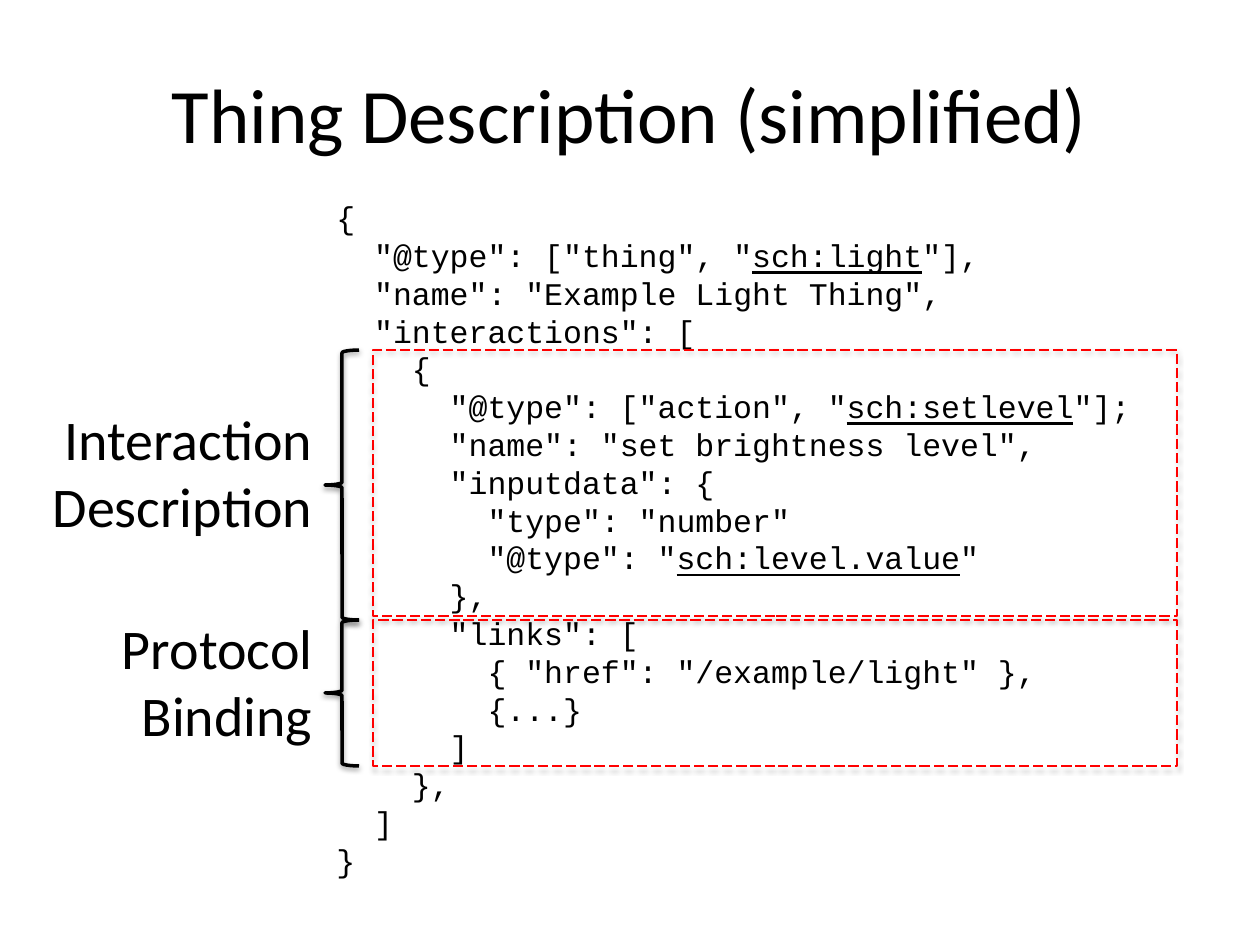
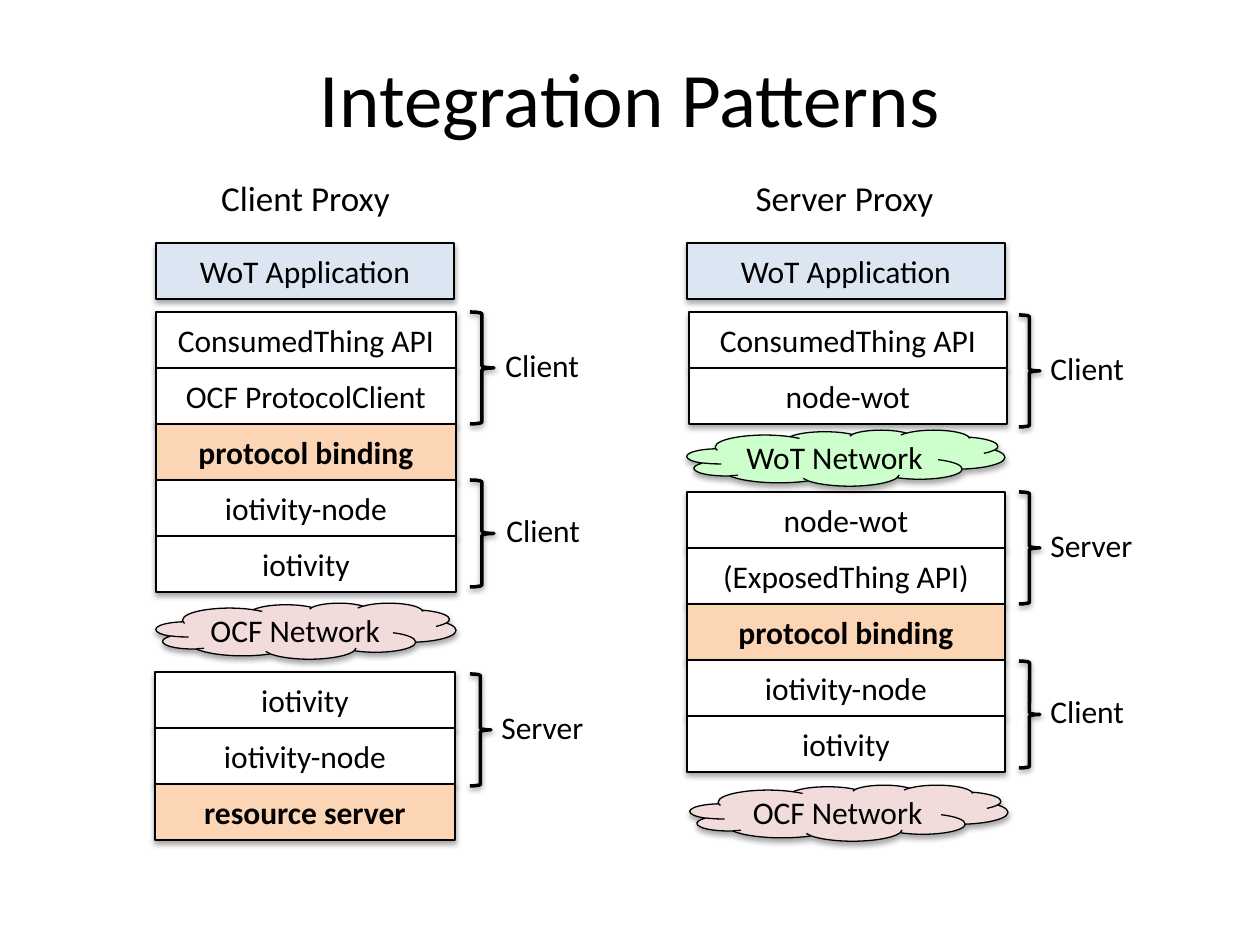
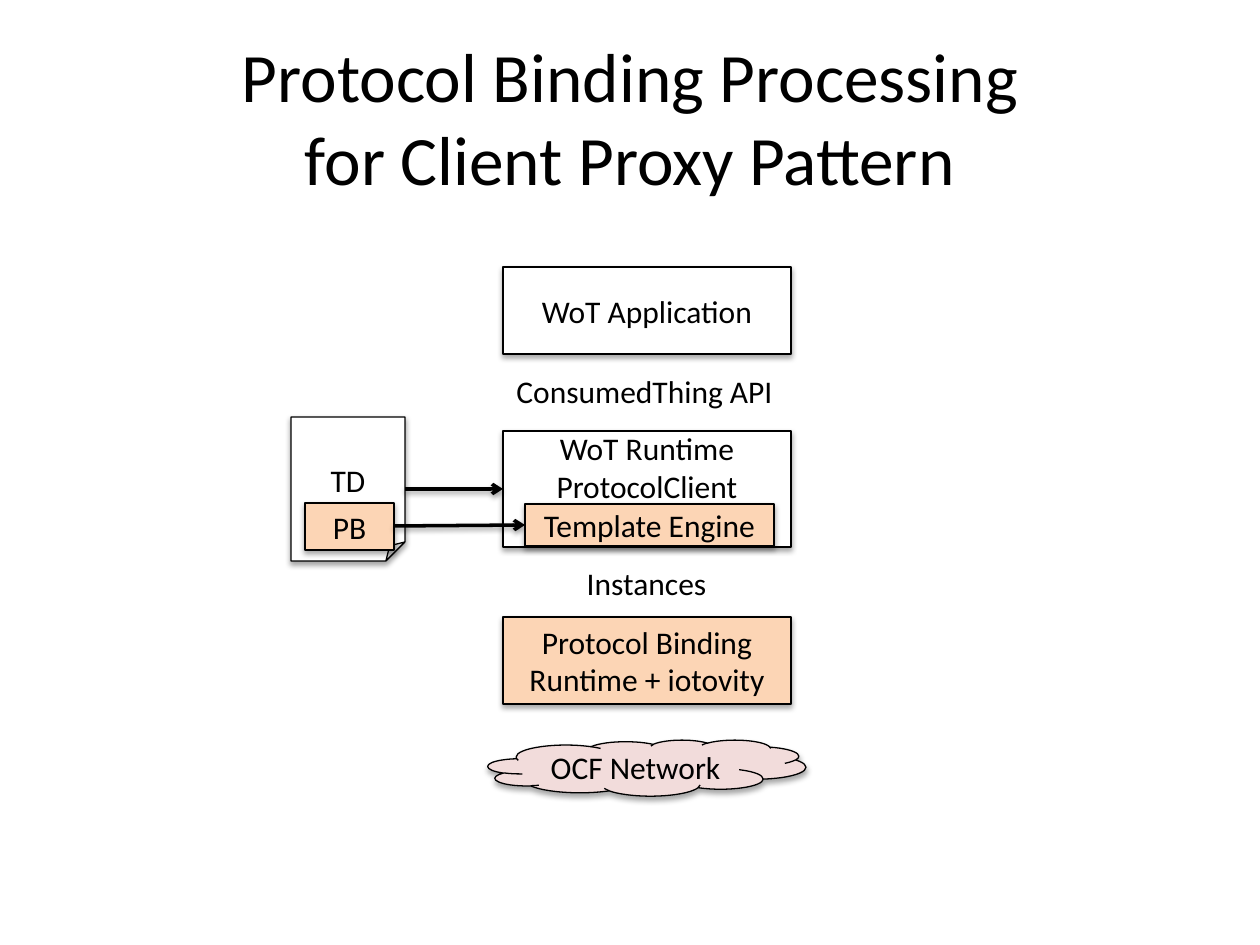
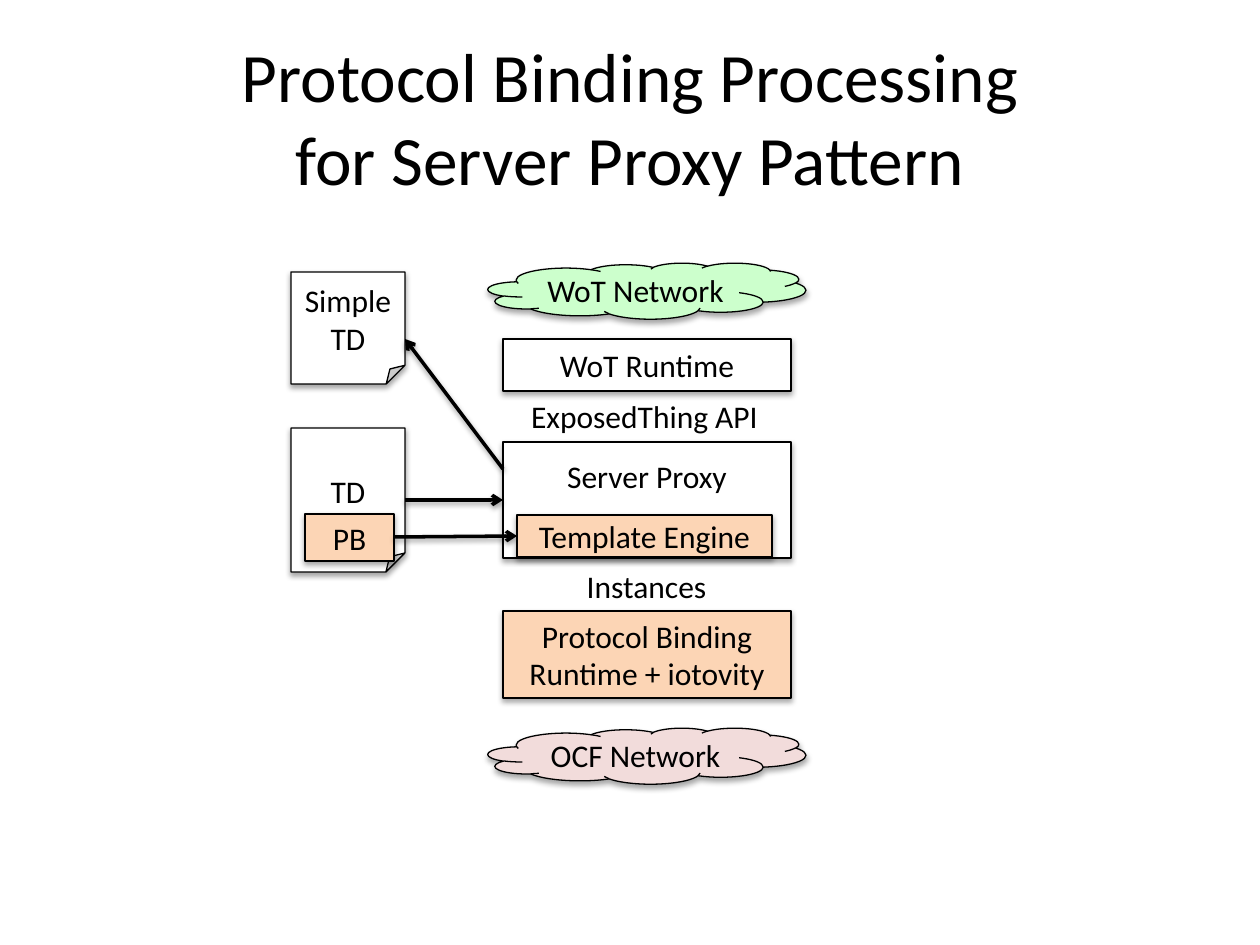
from dataclasses import dataclass

from lxml import etree
from pptx import Presentation
from pptx.dml.color import RGBColor
from pptx.enum.dml import MSO_LINE
from pptx.enum.shapes import MSO_CONNECTOR, MSO_SHAPE
from pptx.enum.text import MSO_ANCHOR, MSO_AUTO_SIZE, PP_ALIGN
from pptx.oxml.ns import qn
from pptx.util import Emu, Inches, Pt

RECT = MSO_SHAPE.RECTANGLE
CLOUD = MSO_SHAPE.CLOUD
NOTE = MSO_SHAPE.FOLDED_CORNER
LEFT_BRACE = MSO_SHAPE.LEFT_BRACE
RIGHT_BRACE = MSO_SHAPE.RIGHT_BRACE
STRAIGHT = MSO_CONNECTOR.STRAIGHT
DASH = MSO_LINE.LONG_DASH
LEFT, CENTER, RIGHT = PP_ALIGN.LEFT, PP_ALIGN.CENTER, PP_ALIGN.RIGHT
MIDDLE, TOP = MSO_ANCHOR.MIDDLE, MSO_ANCHOR.TOP
FIXED = MSO_AUTO_SIZE.NONE
TITLE_ONLY = 5
SCALE = 914400 / 126
ROW = 56


@dataclass(frozen=True)
class Theme:
    """Colours, fonts and sizes of the deck."""
    ink: str = "000000"
    white: str = "FFFFFF"
    blue: str = "DCE6F2"
    peach: str = "FCD5B5"
    pink: str = "F2DCDB"
    green: str = "CCFFCC"
    red: str = "FF0000"
    sans: str = "Calibri"
    mono: str = "Courier New"
    head: float = 44
    long: float = 39.6
    side: float = 32
    sub: float = 20
    body: float = 18
    thin: float = 0.75
    bold: float = 2
    step: float = 21.6


T = Theme()


def px(n):
    """Turn pixels into EMU."""
    return Emu(round(n * SCALE))


def put(item, **vals):
    """Set each named attribute on the item."""
    for name, val in vals.items():
        setattr(item, name, val)


def ink(font, size, name=T.sans, **more):
    """Give a font its size, face and colour."""
    put(font, size=Pt(size), name=name, **more)
    font.color.rgb = RGBColor.from_string(T.ink)


class Deck:
    """Draws each kind of element on the current slide."""

    def __init__(self):
        """Start an empty deck."""
        self.prs = Presentation()
        put(self.prs, slide_width=Inches(10), slide_height=Inches(7.5))

    def page(self, title, top, size=T.head):
        """Add a slide with a title."""
        layout = self.prs.slide_layouts[TITLE_ONLY]
        self.slide = self.prs.slides.add_slide(layout)
        head = self.slide.shapes.title
        put(head, left=px(63), top=px(top), width=px(1134), height=px(157))
        self.fill(head.text_frame, title, size, CENTER, MIDDLE)

    def fill(self, frame, text, size, align, anchor, wrap=True, **more):
        """Fill a text frame."""
        frame.text = text
        put(frame, word_wrap=wrap, vertical_anchor=anchor, auto_size=FIXED)
        for para in frame.paragraphs:
            para.alignment = align
            for run in para.runs:
                ink(run.font, size, **more)

    def text(self, text, box, size=T.body, align=LEFT, wrap=True):
        """Add a text box."""
        shape = self.slide.shapes.add_textbox(*map(px, box))
        self.fill(shape.text_frame, text, size, align, TOP, wrap)
        return shape

    def code(self, lines, box):
        """Add code from pairs of depth and text, underlined between bars."""
        frame = self.slide.shapes.add_textbox(*map(px, box)).text_frame
        frame.word_wrap = True
        for i, (depth, line) in enumerate(lines):
            para = frame.add_paragraph() if i else frame.paragraphs[0]
            props = para._p.get_or_add_pPr()
            props.set("marL", str(Pt(depth * T.step)))
            props.set("indent", "0")
            for j, part in enumerate(line.split("|")):
                run = para.add_run()
                run.text = part
                ink(run.font, T.body, T.mono, underline=j % 2 == 1)

    def shade(self, shape, alpha, dist):
        """Add a soft shadow below a shape."""
        effect = etree.SubElement(shape.element.spPr, qn("a:effectLst"))
        outer = etree.SubElement(effect, qn("a:outerShdw"), blurRad="40000",
                                 dist=str(dist), dir="5400000", rotWithShape="0")
        tint = etree.SubElement(outer, qn("a:srgbClr"), val=T.ink)
        etree.SubElement(tint, qn("a:alpha"), val=str(alpha * 1000))

    def edge(self, shape, width, color=T.ink):
        """Style an outline."""
        shape.line.color.rgb = RGBColor.from_string(color)
        shape.line.width = Pt(width)

    def box(self, text, box, fill=T.white, kind=RECT, bold=False):
        """Add a filled shape with centred text."""
        shape = self.slide.shapes.add_shape(kind, *map(px, box))
        shape.fill.solid()
        shape.fill.fore_color.rgb = RGBColor.from_string(fill)
        self.edge(shape, T.thin)
        self.shade(shape, 35, 23000)
        self.fill(shape.text_frame, text, T.body, CENTER, MIDDLE, bold=bold)

    def stack(self, left, top, width, names):
        """Add a column of rows, the starred ones in bold on peach."""
        for i, name in enumerate(names):
            star = name.startswith("*")
            self.box(name.lstrip("*"), (left, top + i * ROW, width, ROW),
                     T.peach if star else T.white, bold=star)

    def frame(self, box):
        """Add a dashed red frame."""
        shape = self.slide.shapes.add_shape(RECT, *map(px, box))
        shape.fill.background()
        self.edge(shape, T.thin, T.red)
        shape.line.dash_style = DASH
        self.shade(shape, 35, 23000)

    def brace(self, box, kind=RIGHT_BRACE):
        """Add a brace."""
        shape = self.slide.shapes.add_shape(kind, *map(px, box))
        shape.fill.background()
        self.edge(shape, T.bold)
        self.shade(shape, 38, 20000)

    def arrow(self, *ends):
        """Add an arrow from one point to another."""
        line = self.slide.shapes.add_connector(STRAIGHT, *map(px, ends))
        self.edge(line, T.bold)
        stroke = line.element.spPr.find(qn("a:ln"))
        etree.SubElement(stroke, qn("a:tailEnd"), type="arrow")
        self.shade(line, 38, 20000)

    def label(self, text, left, top, width, size=T.body):
        """Add a centred caption that does not wrap."""
        self.text(text, (left, top, width, 50), size, CENTER, False)

    def flow(self, top, engine, inst, bind, cloud):
        """Add the parts that both proxy pages share."""
        left, width = engine
        self.box("", (503, top, 288, 116))
        self.box("Protocol Binding Runtime + iotovity", (503, bind, 288, 87), T.peach)
        self.box("TD", (291, top - 14, 114, 144), kind=NOTE)
        self.arrow(405, top + 58, 503, top + 58)
        self.box("OCF Network", (488, cloud, 318, ROW), T.pink, CLOUD)
        self.box("PB", (305, top + 72, 89, 47), T.peach)
        self.arrow(394, top + 95, left, top + 94)
        self.box("Template Engine", (left, top + 73, width, 42), T.peach)
        self.label("Instances", 573, inst, 147)


deck = Deck()

deck.page("Thing Description (simplified)", 34)
deck.code([
    (0, '{'),
    (1, '"@type": ["thing", "|sch:light|"],'),
    (1, '"name": "Example Light Thing",'),
    (1, '"interactions": ['),
    (2, '{'),
    (3, '"@type": ["action", "|sch:setlevel|"];'),
    (3, '"name": "set brightness level",'),
    (3, '"inputdata": {'),
    (4, '"type": "number"'),
    (4, '"@type": "|sch:level.value|"'),
    (3, '},'),
    (3, '"links": ['),
    (4, '{ "href": "/example/light" },'),
    (4, '{...}'),
    (3, ']'),
    (2, '},'),
    (1, ']'),
    (0, '}'),
], (324, 192, 867, 699))
for name, label_top, top, height in (
        ("Interaction Description", 398, 350, 266),
        ("Protocol Binding", 607, 620, 146)):
    side = deck.text(name, (19, label_top, 306, 163), T.side, RIGHT)
    side.text_frame.paragraphs[0].space_before = Pt(3)
    deck.frame((373, top, 804, height))
for top, height in ((350, 270), (620, 146)):
    deck.brace((325, top, 34, height), LEFT_BRACE)

deck.page("Integration Patterns", 18)
for name, left, width in (("Client Proxy", 207, 197), ("Server Proxy", 742, 205)):
    deck.label(name, left, 170, width, T.sub)
for left, width in ((156, 298), (687, 318)):
    deck.box("WoT Application", (left, 243, width, ROW), T.blue)
deck.stack(156, 312, 300, ["ConsumedThing API", "OCF ProtocolClient",
                           "*protocol binding", "iotivity-node", "iotivity"])
deck.stack(155, 672, 300, ["iotivity", "iotivity-node", "*resource server"])
deck.stack(689, 312, 318, ["ConsumedThing API", "node-wot"])
deck.stack(687, 492, 318, ["node-wot", "(ExposedThing API)", "*protocol binding",
                           "iotivity-node", "iotivity"])
deck.box("OCF Network", (156, 603, 300, ROW), T.pink, CLOUD)
deck.box("WoT Network", (687, 430, 318, ROW), T.green, CLOUD)
deck.box("OCF Network", (690, 785, 318, ROW), T.pink, CLOUD)
for name, left, top, width, height, label in (
        ("Client", 470, 312, 24, 112, 493),
        ("Client", 470, 480, 24, 107, 494),
        ("Server", 470, 674, 21, 112, 489),
        ("Client", 1019, 315, 21, 112, 1038),
        ("Server", 1019, 492, 21, 112, 1038),
        ("Client", 1019, 661, 21, 107, 1038)):
    deck.brace((left, top, width, height))
    deck.text(name, (label, top + height // 2 - 28, 113, 50))

deck.page("Protocol Binding Processing\vfor Client Proxy Pattern", 38, T.long)
deck.box("WoT Application", (503, 267, 288, 87))
deck.flow(431, (525, 249), 558, 617, 740)
deck.label("WoT Runtime\nProtocolClient", 503, 423, 288)
deck.label("ConsumedThing API", 502, 366, 285)

deck.page("Protocol Binding Processing\vfor Server Proxy Pattern", 38, T.long)
deck.box("WoT Runtime", (503, 339, 288, 52))
deck.flow(442, (517, 255), 561, 611, 728)
deck.label("Server Proxy", 503, 451, 288)
deck.label("ExposedThing API", 517, 391, 255)
deck.box("WoT Network", (488, 263, 318, ROW), T.green, CLOUD)
deck.box("Simple TD", (291, 272, 114, 112), kind=NOTE)
deck.arrow(503, 469, 405, 339)

deck.prs.save("out.pptx")
